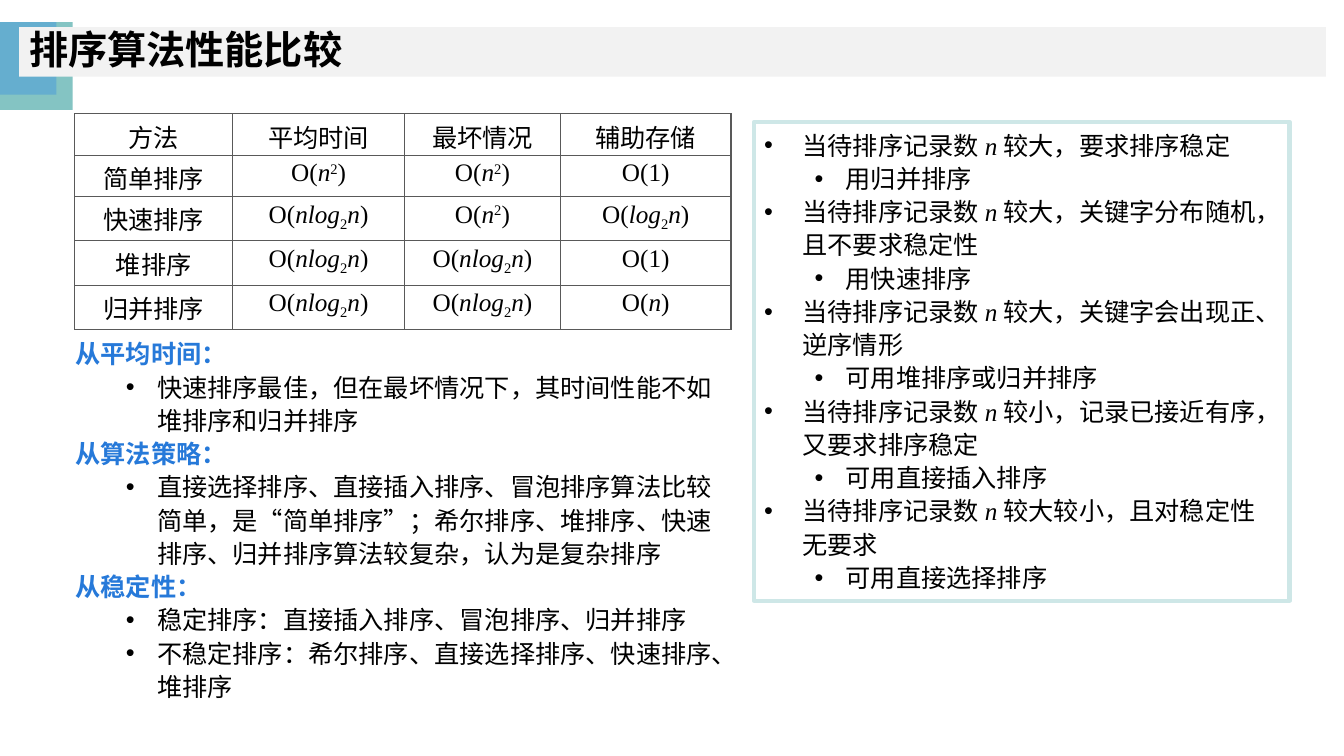
from lxml.etree import SubElement
from pptx import Presentation
from pptx.dml.color import RGBColor
from pptx.enum.lang import MSO_LANGUAGE_ID
from pptx.enum.shapes import MSO_SHAPE
from pptx.enum.text import MSO_ANCHOR, PP_ALIGN
from pptx.oxml import parse_xml
from pptx.oxml.ns import nsdecls, qn
from pptx.util import Inches, Pt

BLACK = RGBColor(0, 0, 0)
TEAL = RGBColor(0x84, 0xC4, 0xC3)
SKY = RGBColor(0x65, 0xAE, 0xCF)
GREY = RGBColor(0xF2, 0xF2, 0xF2)
MINT = RGBColor(0xCE, 0xE7, 0xE7)
BLUE = RGBColor(0x26, 0x79, 0xD9)
EDGE = RGBColor(0x59, 0x59, 0x59)
SERIF, SANS, HAN = "Times New Roman", "Arial", "Noto Sans CJK SC"

# In marked text "|" parts the runs; a leading _ is italic, ^ raised, ~ lowered.
BASE = {"^": "30000", "~": "-25000"}
SQUARE = "O(|_n|^2|)"
NLOG = "O(|_nlog|~2|_n|)"
ROWS = [
    ["方法", "平均时间", "最坏情况", "辅助存储"],
    ["简单排序", SQUARE, SQUARE, "O(1)"],
    ["快速排序", NLOG, SQUARE, "O(|_log|~2|_n|)"],
    ["堆排序", NLOG, NLOG, "O(1)"],
    ["归并排序", NLOG, NLOG, "O(|_n|)"],
]
VIEWS = [
    ("从平均时间：", [[("快速排序最佳，但在最坏情况下，其时间性能不如堆排序和归并排序", SERIF)]]),
    ("从算法策略：", [[("直接选择排序、直接插入排序、冒泡排序算法比较简单，是“简单排序”；"
                  "希尔排序、堆排序、快速排序、归并排序算法较复杂，认为是复杂排序", SANS)]]),
    ("从稳定性：", [
        [("稳定排序：", SERIF), ("直接插入排序、冒泡排序、归并排序", SANS)],
        [("不稳定排序：希尔排序、直接选择排序、快速排序、堆排序", SERIF)],
    ]),
]
ADVICE = [
    ("较大，要求排序稳定", "用归并排序"),
    ("较大，关键字分布随机，且不要求稳定性", "用快速排序"),
    ("较大，关键字会出现正、逆序情形", "可用堆排序或归并排序"),
    ("较小，记录已接近有序，又要求排序稳定", "可用直接插入排序"),
    ("较大较小，且对稳定性无要求", "可用直接选择排序"),
]


def add_run(para, text, face=SERIF, size=18, color=BLACK, bold=False):
    run = para.add_run()
    run.text = text.lstrip("_^~")
    font = run.font
    font.name, font.size, font.bold = face, Pt(size), bold
    font.italic = text.startswith("_")
    font.color.rgb = color
    font.language_id = MSO_LANGUAGE_ID.SIMPLIFIED_CHINESE
    props = run._r.get_or_add_rPr()
    if text[0] in BASE:
        props.set("baseline", BASE[text[0]])
    if face == HAN:
        SubElement(props, qn("a:ea")).set("typeface", face)


def add_marked(para, text):
    for part in text.split("|"):
        add_run(para, part)


def add_para(frame, left=0, hang=0):
    """Add a line to the frame, with a bullet when it has a hanging indent."""
    first = frame.paragraphs[0]
    para = frame.add_paragraph() if first.runs else first
    para.line_spacing = 1.1
    if hang:
        props = para._p.get_or_add_pPr()
        props.set("marL", str(Inches(left)))
        props.set("indent", str(-Inches(hang)))
        color = SubElement(props, qn("a:buClr"))
        SubElement(color, qn("a:srgbClr")).set("val", str(BLACK))
        SubElement(props, qn("a:buFont")).set("typeface", SANS)
        SubElement(props, qn("a:buChar")).set("char", "•")
    return para


def add_rect(slide, x, y, w, h, fill=None, line=None):
    rect = slide.shapes.add_shape(
        MSO_SHAPE.RECTANGLE, Inches(x), Inches(y), Inches(w), Inches(h))
    rect.shadow.inherit = False
    if fill is None:
        rect.fill.background()
    else:
        rect.fill.solid()
        rect.fill.fore_color.rgb = fill
    if line is None:
        rect.line.fill.background()
    else:
        rect.line.color.rgb = line
        rect.line.width = Pt(3)
    rect.text_frame.word_wrap = True
    return rect


def add_title(slide, x, y, w, h):
    add_rect(slide, x, y - 0.05, 0.72, 0.87, TEAL)
    add_rect(slide, x, y - 0.05, 0.56, 0.72, SKY)
    bar = add_rect(slide, x + 0.19, y, w - 0.19, h, GREY)
    bar.text_frame.vertical_anchor = MSO_ANCHOR.MIDDLE
    para = bar.text_frame.paragraphs[0]
    para.alignment, para.line_spacing = PP_ALIGN.LEFT, 0.9
    add_run(para, "排序算法性能比较", SANS, 28, bold=True)


def set_edges(cell):
    props = cell._tc.get_or_add_tcPr()
    for place, side in enumerate(("lnL", "lnR", "lnT", "lnB")):
        props.insert(place, parse_xml(
            f'<a:{side} {nsdecls("a")} w="12700"><a:solidFill>'
            f'<a:srgbClr val="{EDGE}"/></a:solidFill></a:{side}>'))


def add_costs(slide, x, y, w, h):
    """Add the table of time and space costs."""
    table = slide.shapes.add_table(
        len(ROWS), len(ROWS[0]), Inches(x), Inches(y), Inches(w), Inches(h)).table
    table.first_row = table.horz_banding = False
    for col, width in zip(table.columns, (1.57, 1.7, 1.55, 1.69)):
        col.width = Inches(width)
    for row, high, texts in zip(table.rows, (0.41, 0.41, 0.44, 0.44, 0.44), ROWS):
        row.height = Inches(high)
        for cell, text in zip(row.cells, texts):
            cell.fill.background()
            cell.margin_top, cell.margin_bottom = Inches(0.04), 0
            set_edges(cell)
            para = cell.text_frame.paragraphs[0]
            para.alignment = PP_ALIGN.CENTER
            add_marked(para, text)


def add_views(slide, x, y, w, h):
    box = slide.shapes.add_textbox(Inches(x), Inches(y), Inches(w), Inches(h))
    frame = box.text_frame
    frame.word_wrap = True
    for head, points in VIEWS:
        add_run(add_para(frame), head, HAN, color=BLUE, bold=True)
        for point in points:
            para = add_para(frame, 0.81, 0.31)
            for text, face in point:
                add_run(para, text, face)


def add_advice(slide, x, y, w, h):
    frame = add_rect(slide, x, y, w, h, line=MINT).text_frame
    frame.vertical_anchor = MSO_ANCHOR.TOP
    for case, choice in ADVICE:
        para = add_para(frame, 0.38, 0.38)
        para.alignment = PP_ALIGN.LEFT
        add_marked(para, "当待排序记录数|_n|" + case)
        para = add_para(frame, 0.81, 0.31)
        para.alignment = PP_ALIGN.LEFT
        add_run(para, choice)


def main():
    deck = Presentation()
    deck.slide_width, deck.slide_height = Inches(13.33), Inches(7.5)
    slide = deck.slides.add_slide(deck.slide_layouts[6])
    add_title(slide, 0, 0.27, 13.15, 0.49)
    add_costs(slide, 0.74, 1.13, 6.51, 2.14)
    add_views(slide, 0.65, 3.28, 6.68, 3.67)
    add_advice(slide, 7.48, 1.21, 5.31, 4.75)
    deck.save("out.pptx")


if __name__ == "__main__":
    main()
